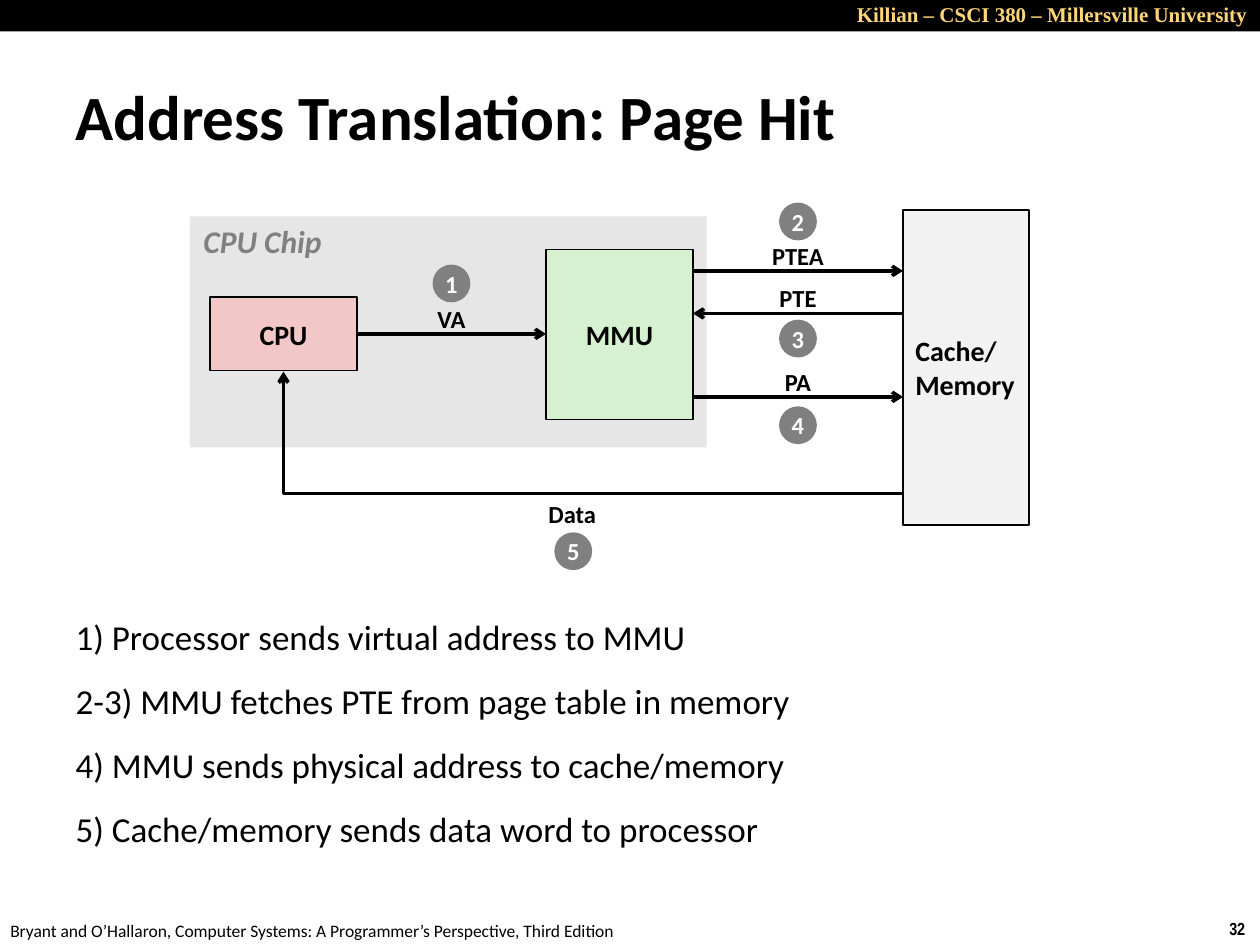
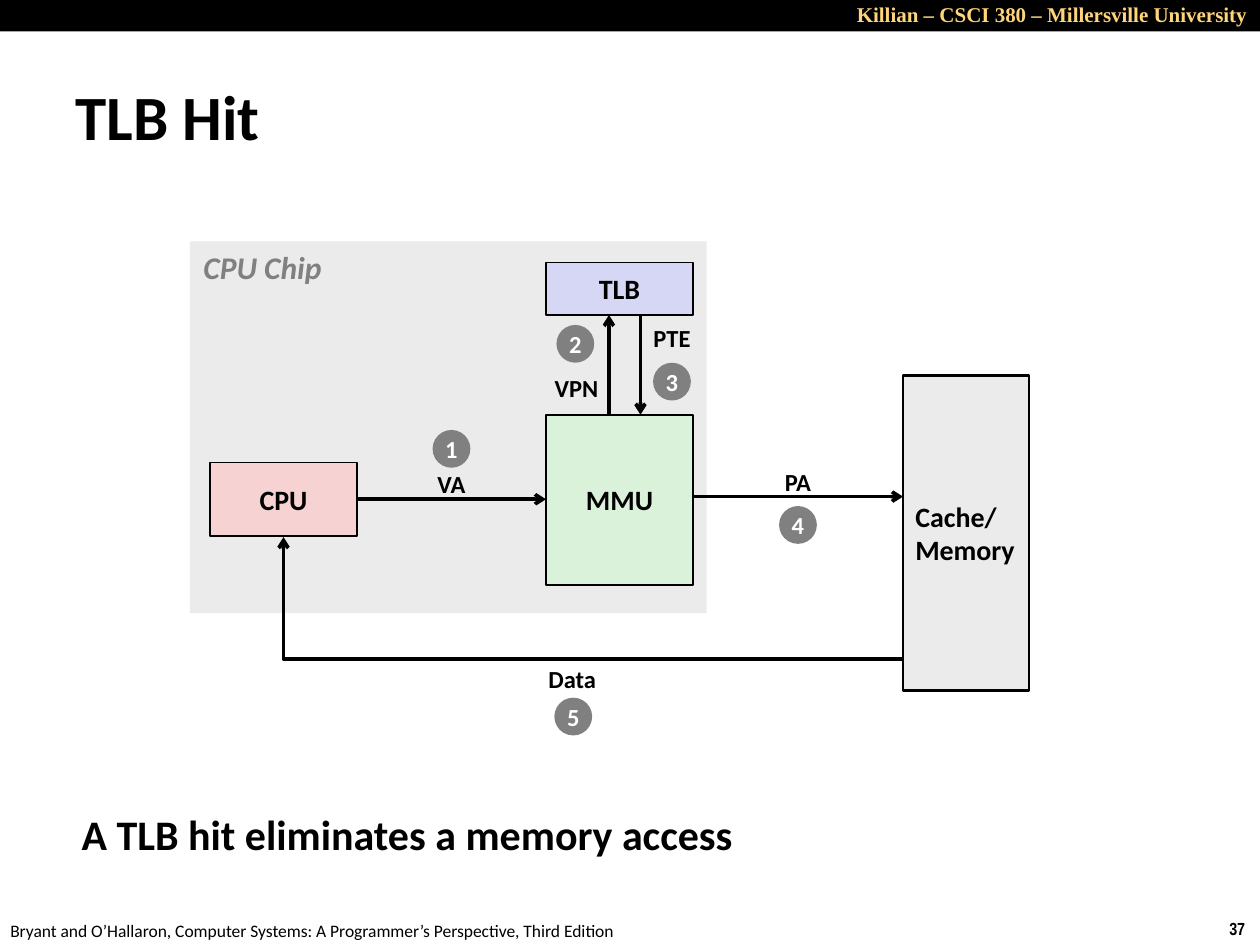
from lxml.etree import SubElement
from pptx import Presentation
from pptx.dml.color import RGBColor
from pptx.enum.shapes import MSO_CONNECTOR, MSO_SHAPE
from pptx.enum.text import MSO_ANCHOR as Anchor, MSO_AUTO_SIZE, PP_ALIGN as Align
from pptx.oxml.ns import qn
from pptx.util import Inches, Pt

BLACK = RGBColor(0x00, 0x00, 0x00)
WHITE = RGBColor(0xFF, 0xFF, 0xFF)
GOLD = RGBColor(0xFF, 0xD5, 0x79)
GRAY = RGBColor(0x80, 0x80, 0x80)
SILVER = RGBColor(0xE6, 0xE6, 0xE6)
LIGHT_SILVER = RGBColor(0xEB, 0xEB, 0xEB)
NEAR_WHITE = RGBColor(0xF2, 0xF2, 0xF2)
GREEN = RGBColor(0xD5, 0xF1, 0xCF)
LIGHT_GREEN = RGBColor(0xDB, 0xF2, 0xDA)
PINK = RGBColor(0xF1, 0xC7, 0xC7)
LIGHT_PINK = RGBColor(0xF6, 0xD2, 0xD2)
LAVENDER = RGBColor(0xD6, 0xD6, 0xF5)

COLUMNS, ROWS = 120, 90
LABEL_COLUMNS = {"VA": 5, "PA": 5, "PTE": 6, "PTEA": 7.3, "VPN": 6.6, "Data": 7}
LABEL_ROWS = 4
BADGE_SIZE = 3.6
CPU_LEFT, MMU_LEFT, CACHE_LEFT = 20, 52, 86
BOX_COLUMNS, CACHE_COLUMNS = 14, 12


class Deck:
    def __init__(self):
        self.presentation = Presentation()
        self.presentation.slide_width = Inches(10)
        self.presentation.slide_height = Inches(7.5)
        self.slide = None

    def x(self, columns):
        return round(self.presentation.slide_width * columns / COLUMNS)

    def y(self, rows):
        return round(self.presentation.slide_height * rows / ROWS)

    def area(self, left, top, width, height):
        return self.x(left), self.y(top), self.x(width), self.y(height)

    def set_text(self, shape, lines, size, color=BLACK, bold=True, italic=False, font="Calibri",
                 align=Align.LEFT, anchor=Anchor.TOP, wrap=False, before=0, spacing=None):
        frame = shape.text_frame
        frame.text = "\n".join(lines)
        frame.auto_size = MSO_AUTO_SIZE.NONE
        frame.word_wrap = wrap
        frame.vertical_anchor = anchor
        for paragraph in frame.paragraphs:
            paragraph.alignment = align
            paragraph.space_before = Pt(before)
            paragraph.line_spacing = spacing
            paragraph.font.name = font
            paragraph.font.size = Pt(size)
            paragraph.font.bold = bold
            paragraph.font.italic = italic
            paragraph.font.color.rgb = color

    def text(self, area, lines, size, **style):
        self.set_text(self.slide.shapes.add_textbox(*self.area(*area)), lines, size, **style)

    def box(self, area, fill, lines=(), line_width=0, size=16, kind=MSO_SHAPE.RECTANGLE,
            align=Align.CENTER, color=BLACK):
        shape = self.slide.shapes.add_shape(kind, *self.area(*area))
        shape.shadow.inherit = False
        shape.fill.solid()
        shape.fill.fore_color.rgb = fill
        if line_width:
            shape.line.color.rgb = BLACK
            shape.line.width = Pt(line_width)
        else:
            shape.line.fill.background()
        if lines:
            self.set_text(shape, lines, size, color=color, align=align, anchor=Anchor.MIDDLE)

    def badge(self, number, column, row):
        half = BADGE_SIZE / 2
        self.box((column - half, row - half, BADGE_SIZE, BADGE_SIZE), GRAY, [str(number)],
                 size=14, kind=MSO_SHAPE.OVAL, color=WHITE)

    def label(self, name, column, row):
        width = LABEL_COLUMNS[name]
        self.text((column - width / 2, row - LABEL_ROWS / 2, width, LABEL_ROWS), [name], 14,
                  align=Align.CENTER, anchor=Anchor.MIDDLE, spacing=0.98)

    def arrow(self, start, end, kind=MSO_CONNECTOR.STRAIGHT):
        connector = self.slide.shapes.add_connector(
            kind, self.x(start[0]), self.y(start[1]), self.x(end[0]), self.y(end[1]))
        connector.line.color.rgb = BLACK
        connector.line.width = Pt(2)
        properties = connector._element.spPr
        SubElement(properties.find(qn("a:ln")), qn("a:tailEnd"), type="arrow")
        SubElement(properties, qn("a:effectLst"))
        return connector

    def corner_arrow(self, left, top, right, bottom):
        connector = self.arrow((left, top), (right, bottom), MSO_CONNECTOR.ELBOW)
        connector.rotation = 180
        properties = connector._element.spPr
        properties.find(qn("a:prstGeom")).set("prst", "bentConnector2")
        properties.find(qn("a:xfrm")).set("rot", "10800000")

    def link(self, name, number, start, end, row, badge_offset):
        middle = (start + end) / 2
        self.arrow((start, row), (end, row))
        self.label(name, middle, row - 1.35)
        self.badge(number, middle, row + badge_offset)

    def place(self, placeholder, area):
        placeholder.left, placeholder.top, placeholder.width, placeholder.height = self.area(*area)

    def start_slide(self, title, number, layout):
        self.slide = self.presentation.slides.add_slide(self.presentation.slide_layouts[layout])
        self.text((115.9, 86.8, 4.1, 3.2), [str(number)], 10, font="Arial Narrow")
        self.text((-0.2, 87, 61, 3.2),
                  ["Bryant and O’Hallaron, Computer Systems: A Programmer’s Perspective, Third Edition"],
                  10, bold=False)
        self.box((0, 0, COLUMNS, 3), BLACK)
        self.text((80.3, -0.4, 39.7, 3.6), ["Killian – CSCI 380 – Millersville University"], 12,
                  color=GOLD, font="Times New Roman", align=Align.RIGHT, wrap=True)
        heading = self.slide.shapes.title
        self.place(heading, (6, 5.8, 114, 10.3))
        self.set_text(heading, [title], 36, anchor=Anchor.MIDDLE, wrap=True)

    def steps(self, area, lines):
        body = self.slide.placeholders[1]
        self.place(body, area)
        self.set_text(body, lines, 20, bold=False, wrap=True, before=12.5)
        for paragraph in body.text_frame.paragraphs:
            properties = paragraph._p.get_or_add_pPr()
            properties.set("marL", "0")
            properties.set("indent", "0")
            bullet = SubElement(properties, qn("a:buNone"))
            properties.find(qn("a:defRPr")).addprevious(bullet)

    def system(self, top, chip_top, chip_rows, chip_fill, mmu_fill, cpu_fill, cache_fill):
        self.box((18.1, chip_top, 49.2, chip_rows), chip_fill)
        self.text((18.2, chip_top, 14, 4.8), ["CPU Chip"], 18, color=GRAY, italic=True)
        self.box((MMU_LEFT, top + 3.75, BOX_COLUMNS, 16.2), mmu_fill, ["MMU"], 1)
        self.box((CPU_LEFT, top + 8.3, BOX_COLUMNS, 7), cpu_fill, ["CPU"], 1)
        self.box((CACHE_LEFT, top, CACHE_COLUMNS, 30), cache_fill, ["Cache/", "Memory"], 1.5,
                 align=Align.LEFT)
        self.link("VA", 1, CPU_LEFT + BOX_COLUMNS, MMU_LEFT, top + 11.8, -4.8)
        self.corner_arrow(CPU_LEFT + BOX_COLUMNS / 2, top + 15.4, CACHE_LEFT, top + 27)
        self.label("Data", 54.5, top + 29)
        self.badge(5, 54.6, top + 32.5)


def page_hit(deck):
    top, mmu_right = 20, MMU_LEFT + BOX_COLUMNS
    deck.start_slide("Address Translation: Page Hit", 32, 1)
    deck.system(top, 20.6, 22, SILVER, GREEN, PINK, NEAR_WHITE)
    deck.link("PTEA", 2, mmu_right, CACHE_LEFT, top + 5.8, -4.7)
    deck.link("PTE", 3, CACHE_LEFT, mmu_right, top + 9.85, 2.4)
    deck.link("PA", 4, mmu_right, CACHE_LEFT, top + 17.8, 2.7)
    deck.steps((6, 58, 89, 27), [
        "1) Processor sends virtual address to MMU",
        "2-3) MMU fetches PTE from page table in memory",
        "4) MMU sends physical address to cache/memory",
        "5) Cache/memory sends data word to processor",
    ])


def tlb_hit(deck):
    top, tlb_bottom = 35.75, 30
    mmu_top = top + 3.75
    deck.start_slide("TLB Hit", 37, 5)
    deck.system(top, 23, 35.4, LIGHT_SILVER, LIGHT_GREEN, LIGHT_PINK, LIGHT_SILVER)
    deck.link("PA", 4, MMU_LEFT + BOX_COLUMNS, CACHE_LEFT, top + 11.55, 2.7)
    deck.box((MMU_LEFT, tlb_bottom - 5, BOX_COLUMNS, 5), LAVENDER, ["TLB"], 1)
    deck.arrow((58, mmu_top), (58, tlb_bottom))
    deck.badge(2, 54.8, 32.75)
    deck.label("VPN", 54.9, 37)
    deck.arrow((61, tlb_bottom), (61, mmu_top))
    deck.label("PTE", 64, 32.3)
    deck.badge(3, 64, 36.35)
    deck.text((6.6, 76.4, 94.3, 7.6), ["A TLB hit eliminates a memory access"], 24,
              wrap=True, before=4.8)


def main():
    deck = Deck()
    page_hit(deck)
    tlb_hit(deck)
    deck.presentation.save("out.pptx")


if __name__ == "__main__":
    main()
